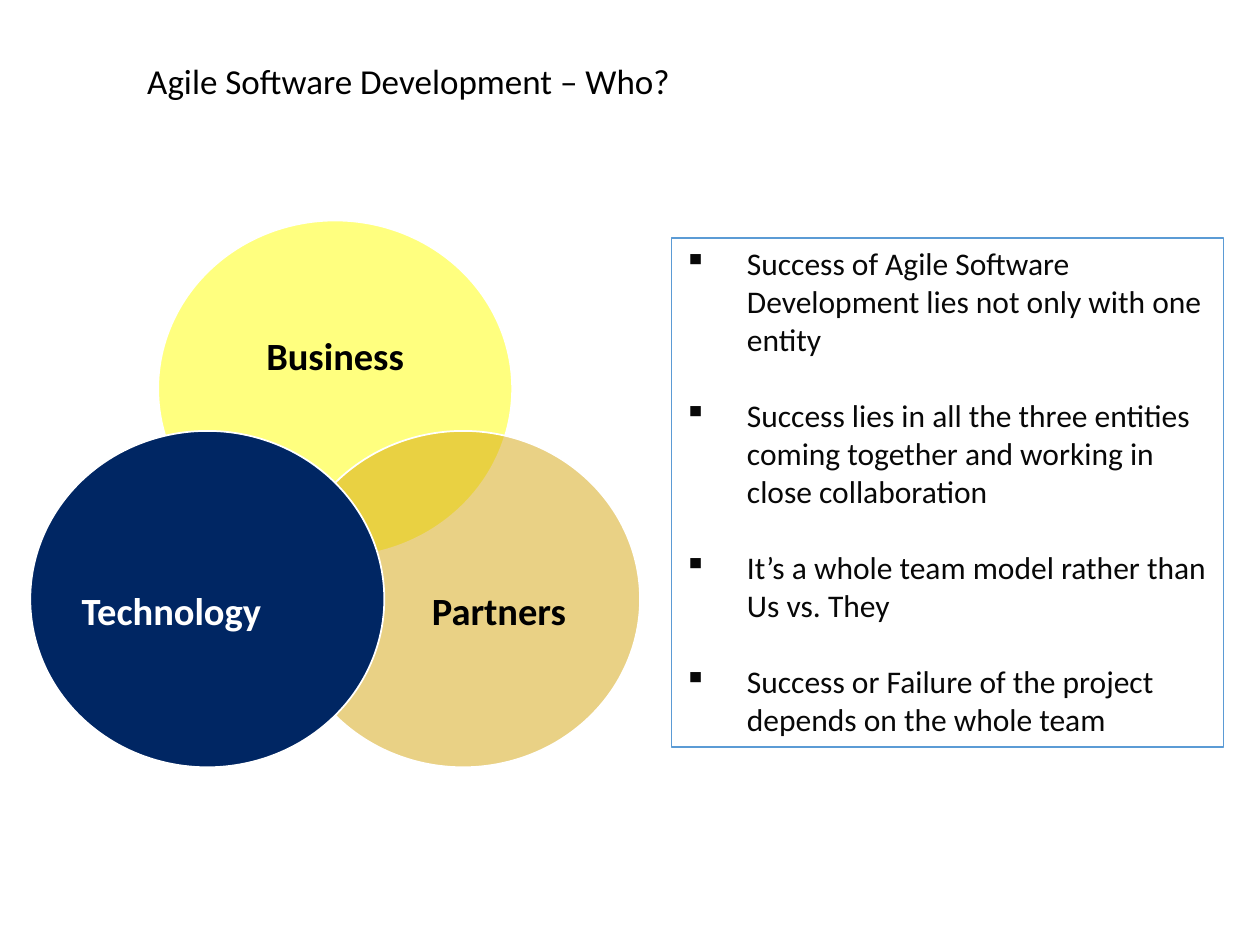
from lxml import etree
from pptx import Presentation
from pptx.dml.color import RGBColor
from pptx.enum.shapes import MSO_SHAPE
from pptx.enum.text import MSO_ANCHOR, PP_ALIGN
from pptx.oxml.ns import qn
from pptx.util import Inches, Pt

OVAL, RECTANGLE = MSO_SHAPE.OVAL, MSO_SHAPE.RECTANGLE
TOP, MIDDLE = MSO_ANCHOR.TOP, MSO_ANCHOR.MIDDLE
LEFT, CENTER = PP_ALIGN.LEFT, PP_ALIGN.CENTER

BLACK = RGBColor(0x00, 0x00, 0x00)
WHITE = RGBColor(0xFF, 0xFF, 0xFF)
YELLOW = RGBColor(0xFF, 0xFF, 0x00)
GOLD = RGBColor(0xD2, 0xA0, 0x00)
NAVY = RGBColor(0x00, 0x26, 0x63)
BLUE = RGBColor(0x5B, 0x9B, 0xD5)
CHARCOAL = RGBColor(0x08, 0x08, 0x08)

CIRCLE_WIDTH, CIRCLE_HEIGHT = 2.81, 2.67
LOWER_LEFT, LOWER_TOP, LOWER_STEP = 0.24, 3.42, 2.03

# name, left, top, fill, opacity %, text colour, label margins
CIRCLES = [
    ("Business", LOWER_LEFT + LOWER_STEP / 2, 1.75, YELLOW, 50, BLACK,
     {"margin_bottom": 0.53}),
    ("Partners", LOWER_LEFT + LOWER_STEP, LOWER_TOP, GOLD, 48, BLACK,
     {"margin_left": 0.57, "margin_top": 0.18}),
    ("Technology", LOWER_LEFT, LOWER_TOP, NAVY, 100, WHITE,
     {"margin_right": 0.57, "margin_top": 0.18}),
]

SUCCESS_FACTORS = [
    "Success of Agile Software Development lies not only with one entity",
    "Success lies in all the three entities coming together and working in "
    "close collaboration",
    "It’s a whole team model rather than Us vs. They",
    "Success or Failure of the project depends on the whole team",
]


def apply(target, settings):
    for attribute, value in settings.items():
        setattr(target, attribute, value)


class SlideBuilder:
    font_name = "Calibri"
    line_width = Pt(1)

    def __init__(self, slide):
        self.slide = slide

    def set_text(self, paragraph, text, size, color, bold=False, align=LEFT):
        paragraph.text = text
        paragraph.alignment = align
        apply(paragraph.font, {"name": self.font_name, "size": Pt(size), "bold": bold})
        paragraph.font.color.rgb = color

    def shape(self, kind, box, fill, line):
        shape = self.slide.shapes.add_shape(kind, *map(Inches, box))
        shape.shadow.inherit = False
        shape.fill.solid()
        shape.fill.fore_color.rgb = fill
        shape.line.color.rgb = line
        shape.line.width = self.line_width
        return shape

    def title(self, text, box):
        frame = self.slide.shapes.add_textbox(*map(Inches, box)).text_frame
        apply(frame, {"word_wrap": True, "vertical_anchor": MIDDLE})
        self.set_text(frame.paragraphs[0], text, 20, BLACK)

    def circle(self, name, left, top, fill, opacity, text_color, margins):
        box = (left, top, CIRCLE_WIDTH, CIRCLE_HEIGHT)
        circle = self.shape(OVAL, box, fill, WHITE)
        if opacity < 100:
            color = circle._element.spPr.find(qn("a:solidFill")).find(qn("a:srgbClr"))
            etree.SubElement(color, qn("a:alpha")).set("val", str(opacity * 1000))
        frame = circle.text_frame
        apply(frame, {"word_wrap": False, "vertical_anchor": MIDDLE})
        no_margins = dict.fromkeys(
            ("margin_left", "margin_top", "margin_right", "margin_bottom"), 0)
        apply(frame, {side: Inches(gap) for side, gap in (no_margins | margins).items()})
        self.set_text(frame.paragraphs[0], name, 22, text_color, bold=True, align=CENTER)

    def bullet_panel(self, points, box):
        frame = self.shape(RECTANGLE, box, WHITE, BLUE).text_frame
        apply(frame, {"word_wrap": True, "vertical_anchor": TOP})
        for index, point in enumerate(points):
            paragraph = frame.add_paragraph() if index else frame.paragraphs[0]
            if index:
                paragraph.space_before = Pt(22)
            properties = paragraph._p.get_or_add_pPr()
            properties.set("marL", str(Inches(0.5)))
            properties.set("indent", str(-Inches(0.5)))
            etree.SubElement(properties, qn("a:buChar")).set("char", "▪")
            self.set_text(paragraph, point, 18, CHARCOAL)


def main():
    presentation = Presentation()
    presentation.slide_width = Inches(10)
    presentation.slide_height = Inches(7.5)
    blank_layout = presentation.slide_layouts[6]
    builder = SlideBuilder(presentation.slides.add_slide(blank_layout))

    builder.title("Agile Software Development – Who?", (1.07, 0.44, 6.52, 0.4))
    for circle in CIRCLES:
        builder.circle(*circle)
    builder.bullet_panel(SUCCESS_FACTORS, (5.33, 1.89, 4.38, 4.04))

    presentation.save("out.pptx")


if __name__ == "__main__":
    main()
